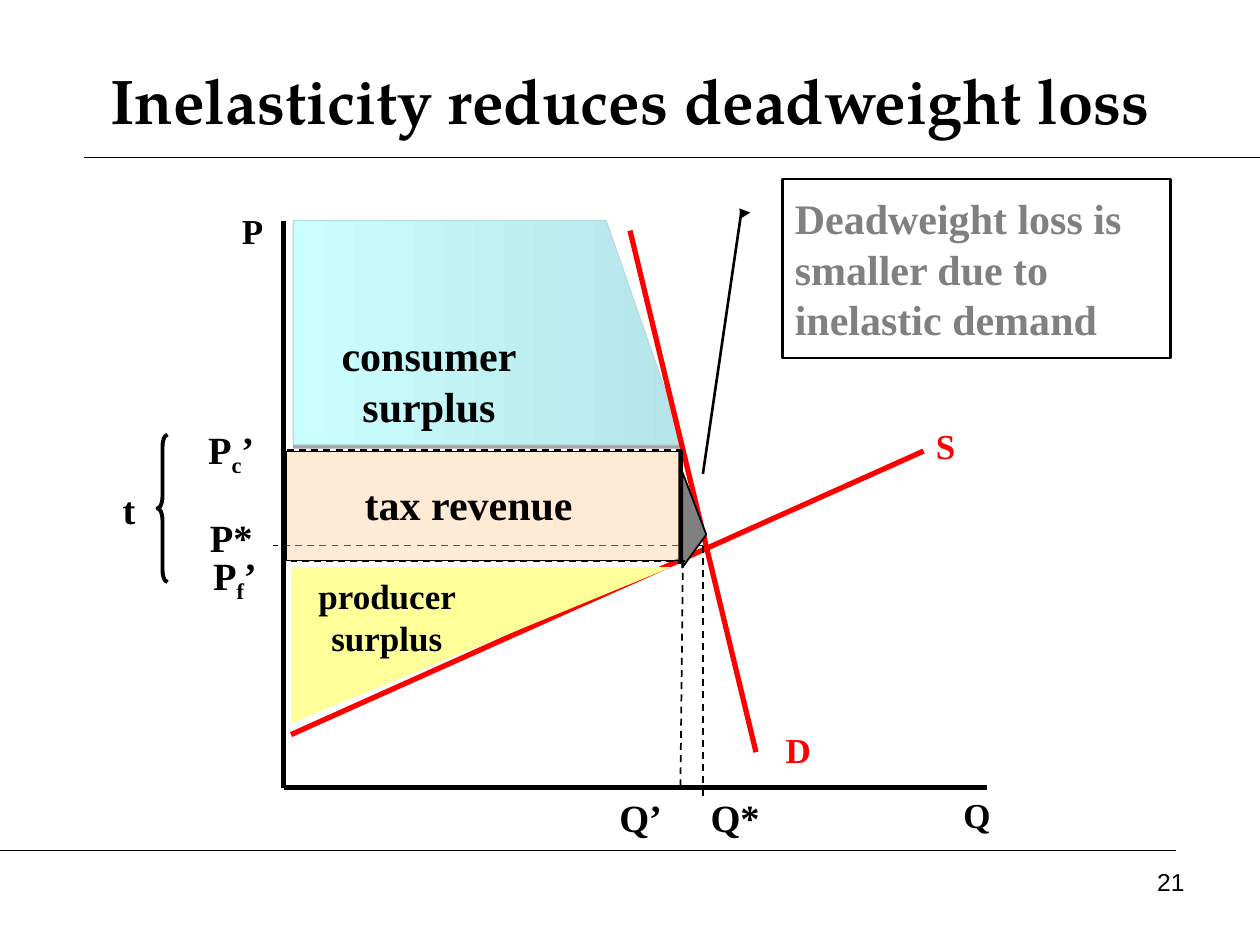
from dataclasses import dataclass

from lxml import etree
from pptx import Presentation
from pptx.dml.color import RGBColor
from pptx.enum.dml import MSO_LINE
from pptx.enum.shapes import MSO_CONNECTOR, MSO_SHAPE
from pptx.enum.text import MSO_ANCHOR, MSO_AUTO_SIZE, PP_ALIGN
from pptx.oxml.ns import qn
from pptx.util import Emu, Pt

STRAIGHT = MSO_CONNECTOR.STRAIGHT
DASH = MSO_LINE.DASH
LEFT, CENTER, RIGHT = PP_ALIGN.LEFT, PP_ALIGN.CENTER, PP_ALIGN.RIGHT
TOP, MIDDLE = MSO_ANCHOR.TOP, MSO_ANCHOR.MIDDLE
GROW = MSO_AUTO_SIZE.SHAPE_TO_FIT_TEXT
NO_FIT = MSO_AUTO_SIZE.NONE
EMU_PER_PX = 9144  # 100 px to the inch
BLACK, RED, GRAY = "000000", "FF0000", "808080"
SERIF, TITLE_FONT, SANS = "Times New Roman", "TeX Gyre Pagella", "Arial"


@dataclass
class Line:
    x1: int
    y1: int
    x2: int
    y2: int
    width: float = 3
    color: str = BLACK
    dashed: bool = False


@dataclass
class Label:
    text: str  # a part between underscores is a subscript
    x: int
    y: int
    w: int
    h: int
    size: int
    color: str = BLACK


def px(length: int) -> Emu:
    return Emu(length * EMU_PER_PX)


def rgb(color: str) -> RGBColor:
    return RGBColor.from_string(color)


def draw_line(page, line: Line) -> None:
    connector = page.shapes.add_connector(
        STRAIGHT, px(line.x1), px(line.y1), px(line.x2), px(line.y2))
    connector.line.color.rgb = rgb(line.color)
    connector.line.width = Pt(line.width)
    if line.dashed:
        connector.line.dash_style = DASH
    etree.SubElement(connector._element.spPr, qn("a:effectLst"))


def draw_shape(page, kind, x: int, y: int, w: int, h: int, fill: str = "",
               line_color: str = "", line_width: float = 1, rotation: int = 0,
               adjustments: tuple = ()):
    shape = page.shapes.add_shape(kind, px(x), px(y), px(w), px(h))
    shape.shadow.inherit = False
    shape.rotation = rotation
    for index, value in enumerate(adjustments):
        shape.adjustments[index] = value
    if fill:
        shape.fill.solid()
        shape.fill.fore_color.rgb = rgb(fill)
    else:
        shape.fill.background()
    if line_color:
        shape.line.color.rgb = rgb(line_color)
        shape.line.width = Pt(line_width)
    else:
        shape.line.fill.background()
    return shape


def write_text(box, text: str, *, size: int, color: str = BLACK,
               font: str = SERIF, bold: bool = True, align=CENTER,
               anchor=TOP, fit=NO_FIT) -> None:
    frame = box.text_frame
    frame.word_wrap = True
    frame.auto_size = fit
    frame.vertical_anchor = anchor
    para = frame.paragraphs[0]
    para.alignment = align
    for row, row_text in enumerate(text.split("\n")):
        if row:
            para.add_line_break()
        for index, part in enumerate(row_text.split("_")):
            span = para.add_run()
            span.text = part
            span.font.name = font
            span.font.size = Pt(size)
            span.font.bold = bold
            span.font.color.rgb = rgb(color)
            if index % 2:
                span._r.get_or_add_rPr().set("baseline", "-25000")


def add_text_box(page, text: str, x: int, y: int, w: int, h: int, **style) -> None:
    box = page.shapes.add_textbox(px(x), px(y), px(w), px(h))
    write_text(box, text, **style)


def set_alpha(color_element, percent: int) -> None:
    etree.SubElement(color_element, qn("a:alpha"), val=str(percent * 1000))


def draw_consumer_surplus(page) -> None:
    area = draw_shape(page, MSO_SHAPE.FLOWCHART_MANUAL_INPUT, 299, 109, 178, 310,
                      line_color="B6DCDF", line_width=0.75, rotation=90)
    area.fill.gradient()
    area.fill.gradient_angle = 180
    for stop, color, position in zip(area.fill.gradient_stops,
                                     ("B5E5E9", "CBFFFF"), (0, 1)):
        stop.color.rgb = rgb(color)
        stop.position = position
    properties = area._element.spPr
    properties.find(qn("a:gradFill")).set("rotWithShape", "0")
    shadow = etree.SubElement(properties.find(qn("a:effectLst")), qn("a:outerShdw"),
                              blurRad="0", dist=str(Pt(1.8)), dir="5400000",
                              rotWithShape="0")
    set_alpha(etree.SubElement(shadow, qn("a:srgbClr"), val=BLACK), 35)


def draw_callout(page) -> None:
    callout = draw_shape(page, MSO_SHAPE.LINE_CALLOUT_2, 621, 142, 308, 142,
                         line_color=BLACK, line_width=1.5,
                         adjustments=(0.188, -0.083, 0.185, -0.106, 1.648, -0.205))
    etree.SubElement(callout.line._get_or_add_ln(), qn("a:headEnd"), type="triangle")
    write_text(callout, "Deadweight loss is smaller due to inelastic demand",
               size=24, color=GRAY, align=LEFT, anchor=MIDDLE)


RULES = [
    Line(67, 125, 1000, 125, 0.75),
    Line(0, 675, 933, 675, 0.75),
    Line(125, 125, 1000, 125, 0.75),
    Line(0, 675, 708, 675, 0.75),
]
AXES_AND_CURVES = [
    Line(225, 175, 225, 625),
    Line(783, 625, 225, 625),
    Line(733, 358, 231, 583, color=RED),
    Line(500, 183, 600, 597, color=RED),
]
EQUILIBRIUM = [
    Line(558, 433, 217, 433, 1, dashed=True),
    Line(558, 433, 558, 633, 1, dashed=True),
]
TAX_GUIDES = [
    Line(542, 357, 225, 357, 1, dashed=True),
    Line(544, 445, 231, 445, 1, dashed=True),
    Line(542, 445, 540, 626, 1, dashed=True),
]
LABELS = [
    Label("Q", 742, 625, 67, 44, 20),
    Label("P", 167, 161, 67, 44, 20),
    Label("D", 600, 573, 67, 44, 20, RED),
    Label("S", 717, 332, 67, 44, 20, RED),
    Label("P*", 142, 403, 83, 47, 22),
    Label("Q*", 542, 625, 83, 47, 22),
    Label("Q’", 467, 625, 83, 47, 22),
    Label("P_c_’", 142, 333, 83, 52, 22),
    Label("P_f_’", 145, 433, 83, 52, 22),
    Label("t", 61, 381, 83, 47, 22),
    Label("consumer\nsurplus", 257, 257, 167, 90, 24),
    Label("producer surplus", 236, 451, 142, 77, 20),
    Label("tax revenue", 268, 375, 208, 50, 24),
]


def main() -> None:
    deck = Presentation()
    deck.slide_width, deck.slide_height = px(1000), px(750)
    page = deck.slides.add_slide(deck.slide_layouts[6])

    # Rules, consumer surplus, axes and curves
    for line in RULES:
        draw_line(page, line)
    draw_consumer_surplus(page)
    for line in AXES_AND_CURVES + EQUILIBRIUM:
        draw_line(page, line)

    # Producer surplus, deadweight loss and its callout
    producer = draw_shape(page, MSO_SHAPE.RIGHT_TRIANGLE, 231, 450, 302, 124,
                          fill="FFFF99", rotation=180)
    producer._element.spPr.find(qn("a:xfrm")).set("flipH", "1")
    draw_line(page, Line(540, 357, 540, 448))
    draw_shape(page, MSO_SHAPE.ISOSCELES_TRIANGLE, 513, 403, 76, 19, fill=GRAY,
               line_color=BLACK, rotation=90, adjustments=(0.656,))
    draw_callout(page)

    # Tax revenue and the tax brace
    for line in TAX_GUIDES:
        draw_line(page, line)
    revenue = draw_shape(page, MSO_SHAPE.RECTANGLE, 227, 358, 312, 87, fill="FFCC99",
                         line_color=BLACK, line_width=0.25)
    set_alpha(revenue._element.spPr.find(qn("a:solidFill"))[0], 40)
    draw_shape(page, MSO_SHAPE.LEFT_BRACE, 125, 345, 8, 117, line_color=BLACK,
               line_width=2.25, adjustments=(1.2, 0.5))

    # Labels, title and page number
    for label in LABELS:
        add_text_box(page, label.text, label.x, label.y, label.w, label.h,
                     size=label.size, color=label.color, fit=GROW)
    add_text_box(page, "Inelasticity reduces deadweight loss", 50, 33, 900, 92,
                 size=36, font=TITLE_FONT, anchor=MIDDLE)
    add_text_box(page, "21", 717, 683, 233, 52, size=14, font=SANS, bold=False,
                 align=RIGHT)
    deck.save("out.pptx")


if __name__ == "__main__":
    main()
